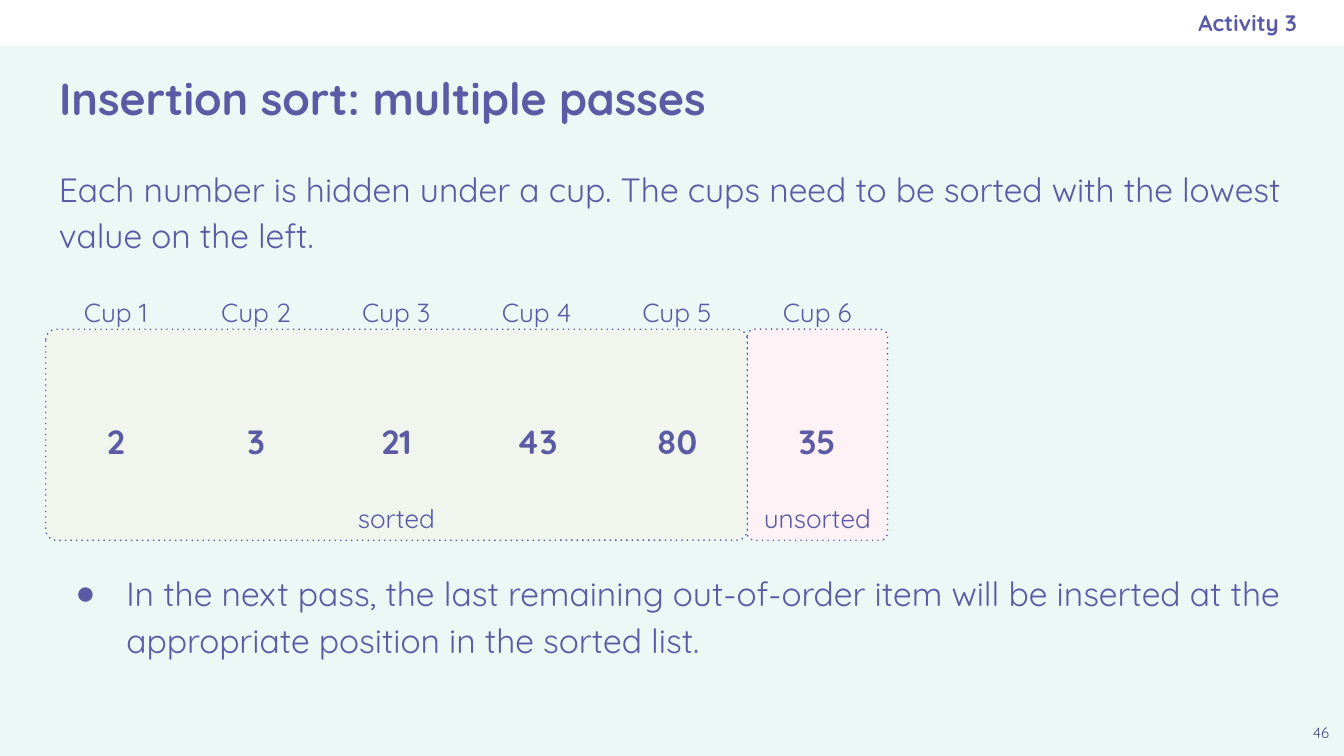
from lxml.etree import SubElement
from pptx import Presentation
from pptx.dml.color import RGBColor
from pptx.enum.shapes import MSO_SHAPE as Shape
from pptx.enum.text import MSO_ANCHOR as Anchor, MSO_AUTO_SIZE as AutoSize, PP_ALIGN as Align
from pptx.oxml.ns import qn
from pptx.util import Inches, Pt

# Content
TITLE = "Insertion sort: multiple passes"
ACTIVITY = "Activity 3"
INTRO = ("Each number is hidden under a cup. The cups need to be sorted "
         "with the lowest value on the left.")
CUPS = [2, 3, 21, 43, 80, 35]
NEXT_STEP = ("In the next pass, the last remaining out-of-order item will be "
             "inserted at the appropriate position in the sorted list.")
PAGE = "46"

# Style
FONT = "Quicksand"
PURPLE = RGBColor(0x5B, 0x5B, 0xA5)
DARK_PURPLE = RGBColor(0x49, 0x49, 0x85)
MINT = RGBColor(0xEC, 0xF8, 0xF5)
WHITE = RGBColor(0xFF, 0xFF, 0xFF)
GREEN = RGBColor(0xF0, 0xF6, 0xED)
PINK = RGBColor(0xFE, 0xF2, 0xF6)

# Grid: a 16:9 slide with one column for each cup
WIDTH = 10
HEIGHT = WIDTH * 9 / 16
MARGIN = 0.34
CONTENT_W = WIDTH - 2 * MARGIN
CUP_W = 5.22 / 5
ZONE_TOP, ZONE_H = 2.45, 1.57

# (label, first column, columns, fill, column of the label, side inset)
ZONES = [
    ("unsorted", 5, 1, PINK, 5, 0),
    ("sorted", 0, 5, GREEN, 2, 0.1),
]


def column_left(column):
    return MARGIN + column * CUP_W


def fill_text(frame, text, size, bold=False, align=Align.LEFT, color=PURPLE,
              spacing=1.15, after=0, anchor=Anchor.TOP, left=0.1, right=0.1):
    frame.word_wrap = True
    frame.auto_size = AutoSize.NONE
    frame.vertical_anchor = anchor
    frame.margin_left, frame.margin_right = Inches(left), Inches(right)
    frame.margin_top = frame.margin_bottom = Inches(0.1)
    paragraph = frame.paragraphs[0]
    paragraph.alignment = align
    paragraph.line_spacing = spacing
    paragraph.space_before, paragraph.space_after = Pt(0), Pt(after)
    run = paragraph.add_run()
    run.text = text
    run.font.name, run.font.size, run.font.bold = FONT, Pt(size), bold
    run.font.color.rgb = color


def place(shape, left, top, width, height):
    shape.left, shape.top = Inches(left), Inches(top)
    shape.width, shape.height = Inches(width), Inches(height)


def add_text(box, text, size, **style):
    textbox = slide.shapes.add_textbox(*map(Inches, box))
    fill_text(textbox.text_frame, text, size, **style)


def add_panel(kind, box, color):
    panel = slide.shapes.add_shape(kind, *map(Inches, box))
    panel.shadow.inherit = False
    panel.fill.solid()
    panel.fill.fore_color.rgb = color
    panel.line.fill.background()
    return panel


def add_dotted_outline(shape):
    shape.line.color.rgb = PURPLE
    shape.line.width = Pt(0.75)
    SubElement(shape.line._get_or_add_ln(), qn("a:prstDash"), val="dot")


def add_bullet(paragraph, char):
    props = paragraph._p.get_or_add_pPr()
    props.set("marL", str(Inches(0.5)))
    props.set("indent", str(Inches(-0.38)))
    bullet_color = SubElement(props, qn("a:buClr"))
    SubElement(bullet_color, qn("a:srgbClr"), val=str(PURPLE))
    SubElement(props, qn("a:buChar"), char=char)


prs = Presentation()
prs.slide_width, prs.slide_height = Inches(WIDTH), Inches(HEIGHT)
slide = prs.slides.add_slide(prs.slide_layouts[1])
slide.background.fill.solid()
slide.background.fill.fore_color.rgb = MINT

# Header strip
add_panel(Shape.RECTANGLE, (0, 0, WIDTH, MARGIN), WHITE)
add_text((5.75, 0, 3.9, MARGIN), ACTIVITY, 12, bold=True, align=Align.RIGHT,
         spacing=1, anchor=Anchor.MIDDLE, right=0)

# Title and introduction
title, next_step = slide.placeholders
place(title, MARGIN, MARGIN, CONTENT_W, 0.77)
fill_text(title.text_frame, TITLE, 24, bold=True, spacing=1, anchor=Anchor.MIDDLE)
add_text((MARGIN, 1.11, CONTENT_W, 0.83), INTRO, 18, after=16)

# Sorted and unsorted zones
for label, first, columns, color, label_column, inset in ZONES:
    zone = add_panel(Shape.ROUNDED_RECTANGLE,
                     (column_left(first), ZONE_TOP, columns * CUP_W, ZONE_H), color)
    zone.adjustments[0] = 0.05
    add_dotted_outline(zone)
    add_text((column_left(label_column), 3.6, CUP_W, 0.42), label, 14,
             align=Align.CENTER, after=16, left=inset, right=inset)

# Cup names and numbers
for column, number in enumerate(CUPS):
    left = column_left(column)
    add_text((left, 2.07, CUP_W, 0.52), f"Cup {column + 1}", 14,
             align=Align.CENTER, after=16)
    add_text((left, 2.99, CUP_W, 0.51), str(number), 18, bold=True,
             align=Align.CENTER, after=16)

# Next step
place(next_step, MARGIN, 4.12, CONTENT_W, 1.41)
add_bullet(next_step.text_frame.paragraphs[0], "●")
fill_text(next_step.text_frame, NEXT_STEP, 18)

# Page number
add_text((WIDTH - MARGIN, HEIGHT - MARGIN, MARGIN, MARGIN), PAGE, 8,
         align=Align.CENTER, color=DARK_PURPLE, spacing=1)

prs.save("out.pptx")
